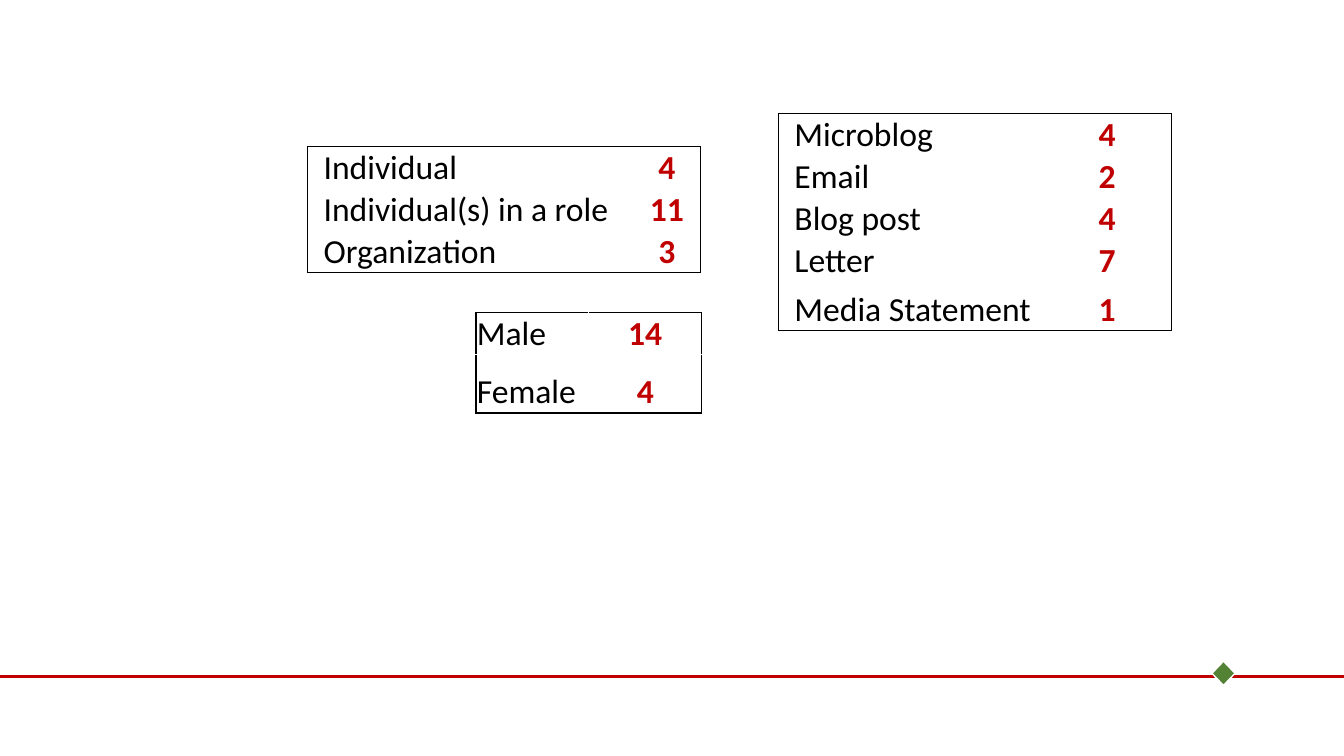
from dataclasses import dataclass
from typing import Optional

from lxml.etree import SubElement
from pptx import Presentation
from pptx.dml.color import RGBColor
from pptx.enum.shapes import MSO_CONNECTOR, MSO_SHAPE
from pptx.enum.text import MSO_ANCHOR, PP_ALIGN
from pptx.oxml.ns import qn
from pptx.util import Inches, Pt


@dataclass(frozen=True)
class Theme:
    font: str = "Calibri"
    text_size: int = 24
    border_width: float = 1
    rule_width: float = 2
    black: str = "000000"
    white: str = "FFFFFF"
    red: str = "C00000"
    green: str = "548235"


THEME = Theme()


@dataclass(frozen=True)
class CountTable:
    left: float
    top: float
    widths: tuple[float, float]
    heights: tuple[float, ...]
    rows: tuple[tuple[str, int], ...]
    indent: float = 0.16
    inner_colour: Optional[str] = None


ROW = 0.41
TABLES = (
    # Gender
    CountTable(4.72, 3.1, (1.12, 1.12), (ROW, 0.58),
               (("Male", 14), ("Female", 4)),
               indent=0.01, inner_colour=THEME.white),
    # Channel
    CountTable(7.72, 1.13, (2.62, 1.28), (ROW,) * 4 + (0.48,),
               (("Microblog", 4), ("Email", 2), ("Blog post", 4),
                ("Letter", 7), ("Media Statement", 1))),
    # Sender
    CountTable(3.05, 1.45, (3.23, 0.67), (ROW,) * 3,
               (("Individual", 4), ("Individual(s) in a role", 11),
                ("Organization", 3))),
)


def set_border(cell, side: str, colour: Optional[str]) -> None:
    properties = cell._tc.get_or_add_tcPr()
    line = SubElement(properties, qn(f"a:ln{side}"),
                      w=str(Pt(THEME.border_width)))
    if colour is None:
        SubElement(line, qn("a:noFill"))
    else:
        fill = SubElement(line, qn("a:solidFill"))
        SubElement(fill, qn("a:srgbClr"), val=colour)


def fill_cell(cell, text: str, indent: float, is_count: bool) -> None:
    cell.fill.background()
    cell.vertical_anchor = MSO_ANCHOR.BOTTOM
    cell.margin_left = Inches(indent)
    cell.margin_right = cell.margin_top = Inches(0.01)
    cell.margin_bottom = 0
    cell.text = text
    para = cell.text_frame.paragraphs[0]
    para.alignment = PP_ALIGN.CENTER if is_count else PP_ALIGN.LEFT
    para.font.name = THEME.font
    para.font.size = Pt(THEME.text_size)
    para.font.bold = is_count
    para.font.color.rgb = RGBColor.from_string(
        THEME.red if is_count else THEME.black)


def draw_table(page, item: CountTable) -> None:
    frame = page.shapes.add_table(
        len(item.rows), 2, Inches(item.left), Inches(item.top),
        Inches(sum(item.widths)), Inches(sum(item.heights)))
    table = frame.table
    table.first_row = table.horz_banding = False
    for column, width in zip(table.columns, item.widths):
        column.width = Inches(width)
    last = len(item.rows) - 1
    for row, (values, height) in enumerate(zip(item.rows, item.heights)):
        table.rows[row].height = Inches(height)
        for column, value in enumerate(values):
            cell = table.cell(row, column)
            # Black around the outside, inner colour between cells
            outer = {"L": column == 0, "R": column == 1,
                     "T": row == 0, "B": row == last}
            for side, is_outer in outer.items():
                set_border(cell, side,
                           THEME.black if is_outer else item.inner_colour)
            fill_cell(cell, str(value), 0.01 if column else item.indent,
                      column == 1)


def draw_footer(page, page_width: int) -> None:
    # Red rule across the page
    height = Inches(6.71)
    rule = page.shapes.add_connector(
        MSO_CONNECTOR.STRAIGHT, 0, height, page_width, height)
    rule.line.color.rgb = RGBColor.from_string(THEME.red)
    rule.line.width = Pt(THEME.rule_width)
    SubElement(rule._element.spPr, qn("a:effectLst"))
    # Green diamond on the rule
    diamond = page.shapes.add_shape(
        MSO_SHAPE.DIAMOND, Inches(12.02), Inches(6.56),
        Inches(0.23), Inches(0.24))
    diamond.shadow.inherit = False
    diamond.fill.solid()
    diamond.fill.fore_color.rgb = RGBColor.from_string(THEME.green)
    diamond.line.color.rgb = RGBColor.from_string(THEME.white)
    diamond.line.width = Pt(THEME.border_width)


def main() -> None:
    deck = Presentation()
    deck.slide_width, deck.slide_height = Inches(13.33), Inches(7.5)
    page = deck.slides.add_slide(deck.slide_layouts[6])
    for item in TABLES:
        draw_table(page, item)
    draw_footer(page, deck.slide_width)
    deck.save("out.pptx")


if __name__ == "__main__":
    main()
